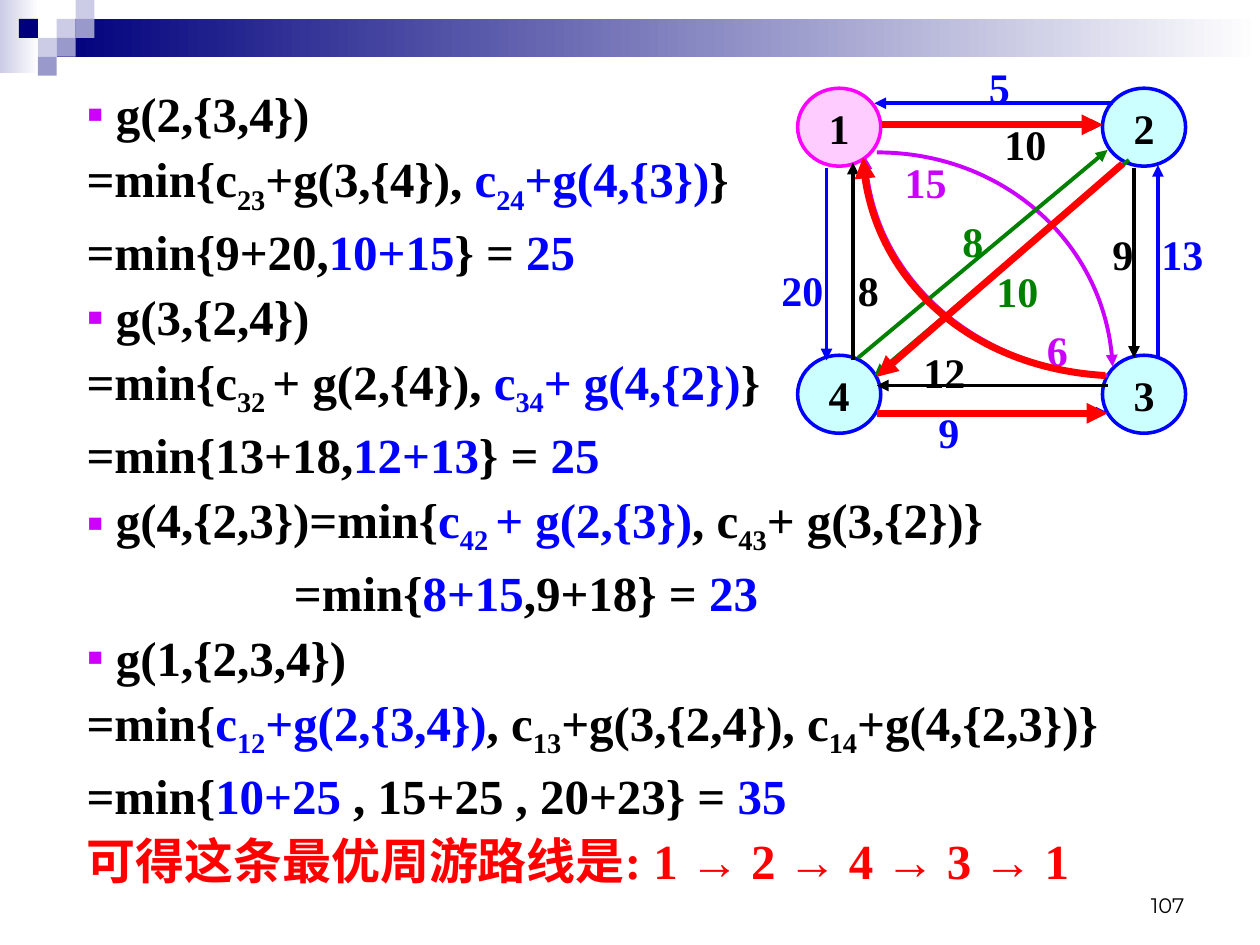
from itertools import groupby

from pptx import Presentation
from pptx.dml.color import RGBColor
from pptx.enum.shapes import MSO_CONNECTOR as Connector, MSO_SHAPE as Shape
from pptx.enum.text import MSO_ANCHOR as Anchor, PP_ALIGN as Align
from pptx.oxml.ns import qn
from pptx.util import Pt
from lxml.etree import SubElement

COLORS = {
    "navy": "00007D", "lavender": "CCCCE6", "periwinkle": "9999CC",
    "white": "FFFFFF", "black": "000000", "blue": "0000FF", "red": "FF0000",
    "green": "008000", "violet": "CC00FF", "magenta": "FF00FF",
    "pink": "FFCCFF", "cyan": "CCFFFF",
}
SERIF = "Times New Roman"
BULLET, FLUSH, ALIGNED = (16.8, -16.8), (0, 0), (118.5, 0)

# "~" switches blue on and off, "_" switches subscript on and off
DERIVATION = [
    (BULLET, "g(2,{3,4})"),
    (FLUSH, "=min{c_23_+g(3,{4}), ~c_24_+g(4,{3})~}"),
    (FLUSH, "=min{9+20,~10+15~} = ~25~"),
    (BULLET, "g(3,{2,4})"),
    (FLUSH, "=min{c_32 _+ g(2,{4}), ~c_34_+ g(4,{2})~}"),
    (FLUSH, "=min{13+18,~12+13~} = ~25~"),
    (BULLET, "g(4,{2,3})=min{~c_42 _+ g(2,{3})~, c_43_+ g(3,{2})}"),
    (ALIGNED, "=min{~8+15~,9+18} = ~23~"),
    (BULLET, "g(1,{2,3,4})"),
    (FLUSH, "=min{~c_12_+g(2,{3,4})~, c_13_+g(3,{2,4}), c_14_+g(4,{2,3})}"),
    (FLUSH, "=min{~10+25~ , 15+25 , 20+23} = ~35~"),
]
CONCLUSION = "可得这条最优周游路线是: 1 → 2 → 4 → 3 → 1"

NODES = [("1", 0, 0, "pink", "magenta"), ("4", 0, 1, "cyan", "blue"),
         ("3", 1, 1, "cyan", "blue"), ("2", 1, 0, "cyan", "blue")]
ARC_1_TO_3 = [(61.1, 55.1), (133.1, 55.1), (192.9, 109.1), (195.8, 177.5)]
ARC_3_TO_1 = [(192.9, 182.6), (117.3, 178.2), (57.5, 124.2), (54.6, 58)]
EDGES = [
    ((47.4, 173.9), (47.4, 60.9), "black"),
    ((32.3, 63.8), (32.3, 173.9), "blue"),
    ((192.9, 188.3), (61.1, 188.3), "black"),
    ((61.1, 203.8), (192.9, 203.8), "blue"),
    ((208, 63.8), (208, 172.5), "black"),
    ((221.7, 172.5), (221.7, 62.3), "blue"),
    ((195.8, 27), (59.7, 27), "blue"),
    ((64, 39.3), (190, 39.3), "black"),
    ((50.3, 172.5), (192.9, 53.7), "green"),
    ((205.1, 59.4), (59.7, 182.6), "green"),
]
TOUR = [((64, 39.3), (190, 39.3)), ((201.5, 61.6), (61.1, 183.3)),
        ((61.1, 204.2), (192.9, 204.2))]
COSTS = [
    ("15", 69.8, 53.7, 48, "violet"), ("6", 151.1, 149.8, 27, "violet"),
    ("8", 43.1, 115.6, 24, "black"), ("20", -0.6, 115.6, 47, "blue"),
    ("12", 80.6, 162.6, 48, "black"), ("9", 89.2, 197, 30, "blue"),
    ("9", 188.6, 95, 27, "black"), ("13", 216.6, 95, 39, "blue"),
    ("5", 118, -0.1, 48, "blue"), ("10", 126.8, 32.4, 48, "black"),
    ("10", 122.3, 116.3, 45, "green"), ("8", 102.9, 87.5, 29, "green"),
]


def rgb(name):
    return RGBColor.from_string(COLORS[name])


def style(run, size, color, face=SERIF, bold=True):
    run.font.size = Pt(size)
    run.font.name = face
    run.font.bold = bold
    run.font.color.rgb = rgb(color)


def add_preset(slide, kind, left, top, width, height):
    preset = slide.shapes.add_shape(kind, Pt(left), Pt(top), Pt(width), Pt(height))
    preset.shadow.inherit = False
    preset.line.fill.background()
    return preset


def add_header(slide, left, top, width):
    cell = 10.8
    bands = [(0, 0, 22.3, 41.8, "lavender"),
             (3 * cell, cell, width - 3 * cell, 2 * cell, "navy")]
    for x, y, w, h, color in bands:
        band = add_preset(slide, Shape.RECTANGLE, left + x, top + y, w, h)
        band.fill.gradient()
        band.fill.gradient_angle = 0
        for stop, shade, position in zip(band.fill.gradient_stops, (color, "white"), (0, 1)):
            stop.color.rgb = rgb(shade)
            stop.position = position
    tiles = [(3, 1, "lavender"), (4, 0, "lavender"), (4, 1, "periwinkle"),
             (2, 2, "lavender"), (1, 1, "navy"), (3, 2, "periwinkle"),
             (2, 3, "periwinkle")]
    for column, row, color in tiles:
        tile = add_preset(slide, Shape.RECTANGLE, left + column * cell,
                          top + row * cell, cell, cell)
        tile.fill.solid()
        tile.fill.fore_color.rgb = rgb(color)


def add_page_number(slide, left, top, width, height):
    frame = slide.shapes.add_textbox(Pt(left), Pt(top), Pt(width), Pt(height)).text_frame
    frame.word_wrap = True
    frame.vertical_anchor = Anchor.BOTTOM
    frame.text = "107"
    frame.paragraphs[0].alignment = Align.RIGHT
    style(frame.paragraphs[0].runs[0], 12, "black", "Montserrat", False)


def add_step(paragraph, layout, text):
    properties = paragraph._p.get_or_add_pPr()
    margin, indent = layout
    properties.set("marL", str(Pt(margin)))
    properties.set("indent", str(Pt(indent)))
    if layout == BULLET:
        color = SubElement(properties, qn("a:buClr"))
        SubElement(color, qn("a:srgbClr"), val=COLORS["violet"])
        SubElement(properties, qn("a:buFont"), typeface="Arial")
        SubElement(properties, qn("a:buChar"), char="▪")
    for i, chunk in enumerate(text.split("~")):
        for j, part in enumerate(chunk.split("_")):
            if part:
                run = paragraph.add_run()
                run.text = part
                style(run, 28, "blue" if i % 2 else "black")
                if j % 2:
                    run.font._element.set("baseline", "-25000")


def add_derivation(slide, left, top, width, height):
    frame = slide.shapes.add_textbox(Pt(left), Pt(top), Pt(width), Pt(height)).text_frame
    frame.word_wrap = True
    frame.margin_left = frame.margin_right = Pt(2.9)
    frame.margin_top = frame.margin_bottom = Pt(2.9)
    for index, (layout, text) in enumerate(DERIVATION):
        paragraph = frame.add_paragraph() if index else frame.paragraphs[0]
        if index:
            paragraph.space_before = Pt(3.5)
        add_step(paragraph, layout, text)
    conclusion = frame.add_paragraph()
    conclusion.space_before = Pt(3.5)
    for is_arrow, letters in groupby(CONCLUSION, lambda letter: letter == "→"):
        run = conclusion.add_run()
        run.text = "".join(letters)
        style(run, 28, "red", "Arial" if is_arrow else SERIF)


def add_arrowhead(edge, color, weight):
    edge.line.color.rgb = rgb(color)
    edge.line.width = Pt(weight)
    SubElement(edge.line._get_or_add_ln(), qn("a:tailEnd"), type="triangle")


def add_edge(slide, left, top, start, end, color, weight=2.25):
    edge = slide.shapes.add_connector(
        Connector.STRAIGHT, Pt(left + start[0]), Pt(top + start[1]),
        Pt(left + end[0]), Pt(top + end[1]))
    add_arrowhead(edge, color, weight)
    SubElement(edge._element.spPr, qn("a:effectLst"))


def add_arc(slide, left, top, points, color, weight=2.25):
    start, *controls = [(Pt(left + x), Pt(top + y)) for x, y in points]
    builder = slide.shapes.build_freeform(*start)
    builder.add_line_segments(controls, close=False)
    arc = builder.convert_to_shape()
    arc.shadow.inherit = False
    arc.fill.background()
    outline = arc._element.find(".//" + qn("a:pathLst"))[0]
    curve = SubElement(outline, qn("a:cubicBezTo"))
    for segment in outline.findall(qn("a:lnTo")):
        curve.append(segment[0])
        outline.remove(segment)
    add_arrowhead(arc, color, weight)


def add_graph(slide, left, top):
    for city, column, row, fill, border in NODES:
        node = add_preset(slide, Shape.OVAL, left + 15.8 + 174.2 * column,
                          top + 18.4 + 152.6 * row, 47.5, 44.6)
        node.fill.solid()
        node.fill.fore_color.rgb = rgb(fill)
        node.line.color.rgb = rgb(border)
        node.line.width = Pt(2)
        frame = node.text_frame
        frame.word_wrap = False
        frame.vertical_anchor = Anchor.MIDDLE
        frame.text = city
        frame.paragraphs[0].alignment = Align.CENTER
        style(frame.paragraphs[0].runs[0], 24, "black")
    for points in (ARC_1_TO_3, ARC_3_TO_1):
        add_arc(slide, left, top, points, "violet")
    for start, end, color in EDGES:
        add_edge(slide, left, top, start, end, color)
    for cost, x, y, width, color in COSTS:
        frame = slide.shapes.add_textbox(Pt(left + x), Pt(top + y), Pt(width), Pt(36)).text_frame
        frame.word_wrap = True
        frame.text = cost
        style(frame.paragraphs[0].runs[0], 24, color)
    for start, end in TOUR:
        add_edge(slide, left, top, start, end, "red", 4)
    add_arc(slide, left - 1.4, top, ARC_3_TO_1, "red", 4)


def main():
    deck = Presentation()
    deck.slide_width, deck.slide_height = Pt(720), Pt(540)
    slide = deck.slides.add_slide(deck.slide_layouts[6])
    add_header(slide, 0, 0, 720)
    add_page_number(slide, 516, 492, 168, 36)
    add_derivation(slide, 46.6, 45, 609, 466)
    add_graph(slide, 440, 32)
    deck.save("out.pptx")


if __name__ == "__main__":
    main()
